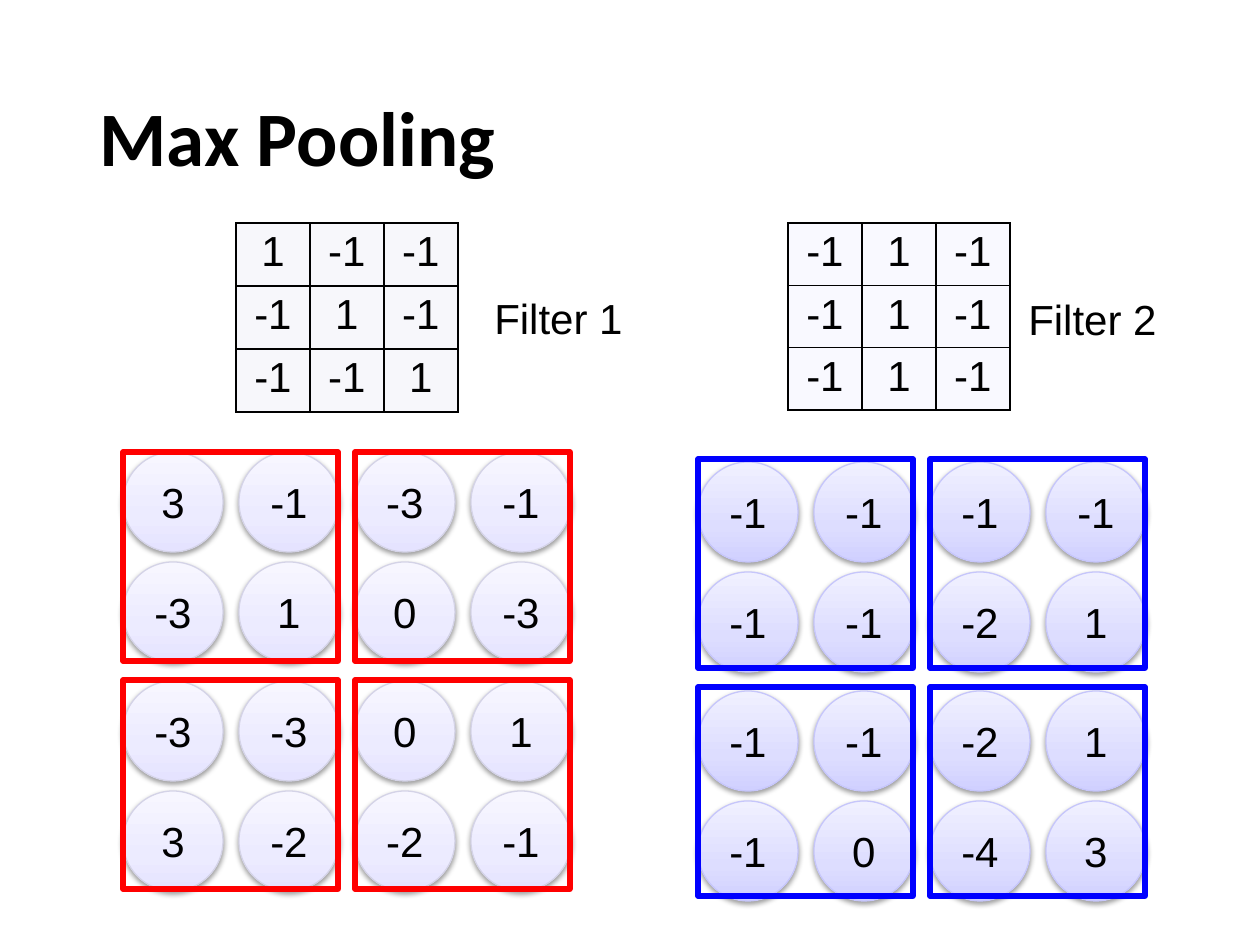
"""Builds a slide with two filters and their feature maps grouped for max pooling."""
import pptx
import pptx.dml.color
import pptx.enum.shapes
import pptx.enum.text
import pptx.oxml
import pptx.oxml.ns
import pptx.util

COLORS = {
    "text": "000000",
    "red": "FF0000",
    "blue": "0000FF",
    "pale_cell": "F7F7FB",
    "bright_cell": "F9F9FF",
    "pale_outline": "D4D3E7",
    "bright_outline": "C6C6FB",
}
GRADIENTS = {
    "pale": {0: "F7F6FF", 65: "ECEBFF", 100: "E5E3FF"},
    "bright": {0: "F0F0FF", 65: "DDDDFF", 100: "D0D0FF"},
}
FILTERS = [
    {
        "name": "Filter 1", "tone": "pale", "pool": "red",
        "table": (236, 223), "row_height": 63, "label": (459, 286),
        "map": (123, 452), "pool_top": 452,
        "weights": [[1, -1, -1], [-1, 1, -1], [-1, -1, 1]],
        "values": [[3, -1, -3, -1], [-3, 1, 0, -3], [-3, -3, 0, 1], [3, -2, -2, -1]],
    },
    {
        "name": "Filter 2", "tone": "bright", "pool": "blue",
        "table": (788, 223), "row_height": 60, "label": (993, 287),
        "map": (698, 462), "pool_top": 459,
        "weights": [[-1, 1, -1], [-1, 1, -1], [-1, 1, -1]],
        "values": [[-1, -1, -1, -1], [-1, -1, -2, 1], [-1, -1, -2, 1], [-1, 0, -4, 3]],
    },
]


def px(*lengths):
    """Turn px lengths into EMU."""
    return [pptx.util.Emu(round(length * 914400 / 126)) for length in lengths]


def color(name):
    """Return the named color."""
    return pptx.dml.color.RGBColor.from_string(COLORS[name])


def assign(target, values):
    """Set attributes of a target from a dict."""
    for name, value in values.items():
        setattr(target, name, value)


def element(xml):
    """Parse one drawing element whose first tag lacks its namespace."""
    tag, rest = xml[1:].split(" ", 1)
    return pptx.oxml.parse_xml(f'<{tag} {pptx.oxml.ns.nsdecls("a")} {rest}')


class SlideBuilder:
    """Holds the text style and the current slide."""

    font = {"name": "Arial", "size": pptx.util.Pt(24), "bold": False}
    centered = {"alignment": pptx.enum.text.PP_ALIGN.CENTER}
    middle = {"vertical_anchor": pptx.enum.text.MSO_ANCHOR.MIDDLE}

    def __init__(self, presentation):
        """Add a slide with a title only."""
        self.slide = presentation.slides.add_slide(presentation.slide_layouts[5])

    def put_text(self, frame, text, paragraph_format, **font):
        """Fill a text frame with one formatted paragraph."""
        paragraph = frame.paragraphs[0]
        paragraph.text = str(text)
        assign(paragraph, paragraph_format)
        assign(paragraph.font, {**self.font, **font})
        paragraph.font.color.rgb = color("text")

    def title(self, text, left, top, width, height):
        """Place and format the title."""
        shape = self.slide.shapes.title
        assign(shape, dict(zip(("left", "top", "width", "height"), px(left, top, width, height))))
        assign(shape.text_frame, self.middle)
        layout = {"alignment": pptx.enum.text.PP_ALIGN.LEFT, "line_spacing": 0.9}
        self.put_text(shape.text_frame, text, layout,
                      name="Calibri", size=pptx.util.Pt(44), bold=True)

    def label(self, text, left, top, width, height):
        """Add a centered label."""
        frame = self.slide.shapes.add_textbox(*px(left, top, width, height)).text_frame
        frame.word_wrap = True
        self.put_text(frame, text, self.centered)

    def circle(self, value, tone, left, top, size):
        """Add a shaded circle with a number."""
        kind = pptx.enum.shapes.MSO_SHAPE.OVAL
        shape = self.slide.shapes.add_shape(kind, *px(left, top, size, size))
        shape.fill.gradient()
        shape.fill.gradient_angle = 270
        stops = shape.element.spPr.find(".//" + pptx.oxml.ns.qn("a:gsLst"))
        stops[:] = [
            element(f'<a:gs pos="{position * 1000}"><a:srgbClr val="{stop_color}"/></a:gs>')
            for position, stop_color in GRADIENTS[tone].items()
        ]
        shape.line.color.rgb = color(f"{tone}_outline")
        shape.line.width = pptx.util.Pt(0.75)
        shape.shadow.inherit = False
        shape.element.spPr.find(pptx.oxml.ns.qn("a:effectLst")).append(element(
            '<a:outerShdw blurRad="40000" dist="20000" dir="5400000" rotWithShape="0">'
            '<a:srgbClr val="000000"><a:alpha val="38000"/></a:srgbClr></a:outerShdw>'
        ))
        assign(shape.text_frame, self.middle)
        self.put_text(shape.text_frame, value, self.centered)

    def frame(self, name, left, top, width, height):
        """Add an unfilled frame around a pooling region."""
        kind = pptx.enum.shapes.MSO_SHAPE.RECTANGLE
        shape = self.slide.shapes.add_shape(kind, *px(left, top, width, height))
        shape.fill.background()
        shape.line.color.rgb = color(name)
        shape.line.width = pptx.util.Pt(3)
        shape.shadow.inherit = False

    def table(self, weights, fill, left, top, column_width, row_height):
        """Add a bordered table of filter weights."""
        rows, columns = len(weights), len(weights[0])
        box = px(left, top, column_width * columns, row_height * rows)
        table = self.slide.shapes.add_table(rows, columns, *box).table
        assign(table, {"first_row": False, "horz_banding": False})
        margins = ("margin_left", "margin_right", "margin_top", "margin_bottom")
        for row, row_weights in enumerate(weights):
            for column, weight in enumerate(row_weights):
                cell = table.cell(row, column)
                assign(cell, dict(zip(margins, px(13, 13, 6, 6))))
                properties = cell._tc.get_or_add_tcPr()
                for side in "LRTB":
                    properties.append(element(
                        f'<a:ln{side} w="12700"><a:solidFill><a:srgbClr val="{COLORS["text"]}"/>'
                        f'</a:solidFill></a:ln{side}>'
                    ))
                cell.fill.solid()
                cell.fill.fore_color.rgb = color(fill)
                self.put_text(cell.text_frame, weight, self.centered)

    def feature_map(self, values, tone, left, top):
        """Add the grid of circles, paired by pooling region."""
        for row, row_values in enumerate(values):
            for column, value in enumerate(row_values):
                y = top + row // 2 * 229 + row % 2 * 110
                self.circle(value, tone, left + column * 116, y, 100)

    def pooling_regions(self, name, left, top):
        """Add the two by two pooling frames."""
        for row in range(2):
            for column in range(2):
                self.frame(name, left + column * 232, top + row * 228, 215, 209)


def main():
    """Build and save the slide."""
    presentation = pptx.Presentation()
    assign(presentation, dict(zip(("slide_width", "slide_height"), px(1260, 945))))
    builder = SlideBuilder(presentation)
    builder.title("Max Pooling", 87, 50, 1086, 183)
    for item in FILTERS:
        tone = item["tone"]
        builder.feature_map(item["values"], tone, *item["map"])
        builder.table(item["weights"], f"{tone}_cell", *item["table"], 74, item["row_height"])
        builder.label(item["name"], *item["label"], 199, 64)
        builder.pooling_regions(item["pool"], item["map"][0], item["pool_top"])
    presentation.save("out.pptx")


if __name__ == "__main__":
    main()
